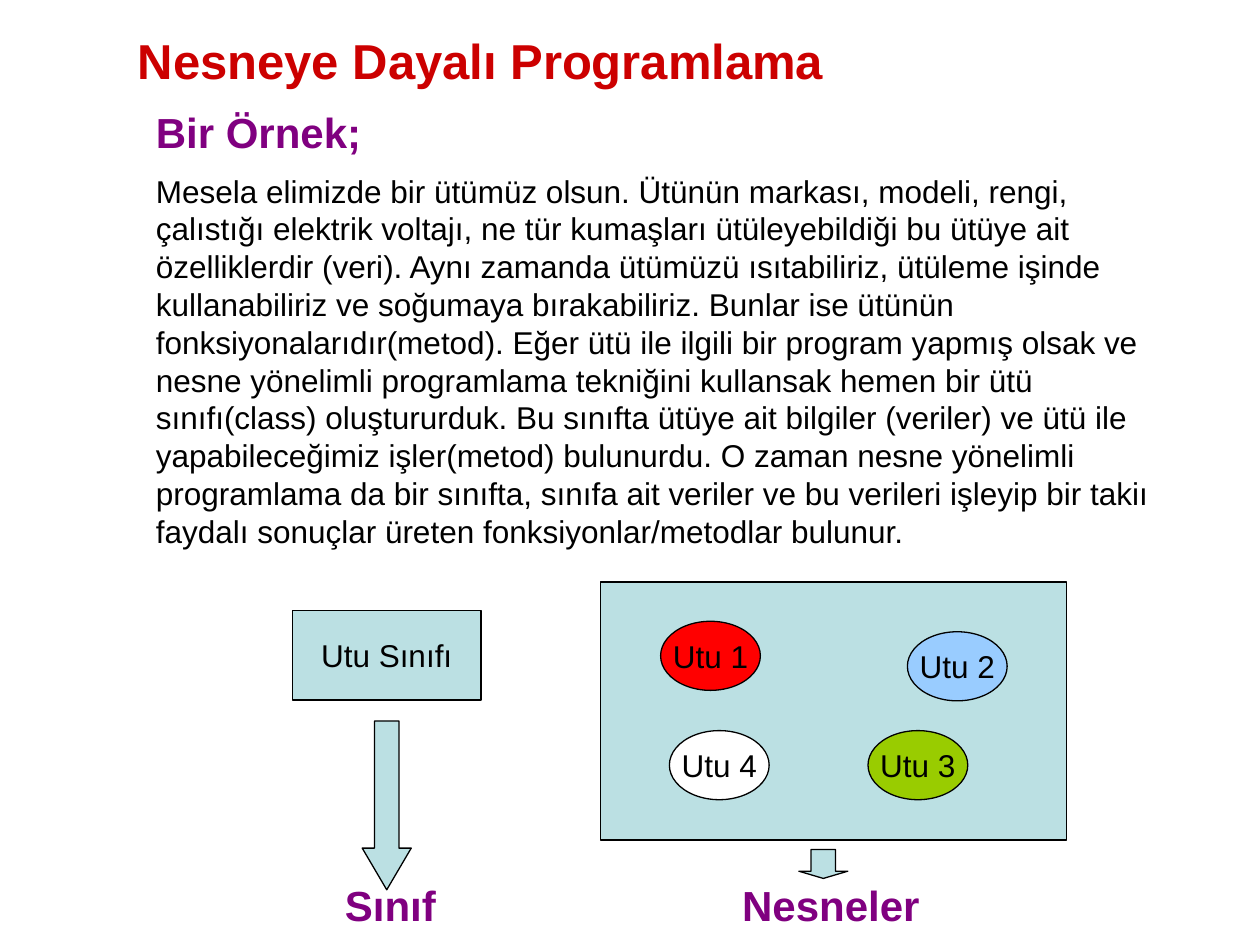
from pptx import Presentation
from pptx.dml.color import RGBColor
from pptx.enum.shapes import MSO_SHAPE
from pptx.enum.text import MSO_ANCHOR, PP_ALIGN
from pptx.util import Pt

RECTANGLE, OVAL, DOWN_ARROW = MSO_SHAPE.RECTANGLE, MSO_SHAPE.OVAL, MSO_SHAPE.DOWN_ARROW
TOP, MIDDLE = MSO_ANCHOR.TOP, MSO_ANCHOR.MIDDLE
LEFT, CENTER = PP_ALIGN.LEFT, PP_ALIGN.CENTER

TEAL, BLACK = "BBE0E3", "000000"
TITLE = {"size": Pt(28), "bold": True, "color": "CC0000"}
HEADING = {"size": Pt(24), "bold": True, "color": "800080"}
BODY = {"size": Pt(18), "bold": False, "color": BLACK}

EXPLANATION = (
    "Mesela elimizde bir ütümüz olsun. Ütünün markası, modeli, rengi, çalıstığı "
    "elektrik voltajı, ne tür kumaşları ütüleyebildiği bu ütüye ait özelliklerdir "
    "(veri). Aynı zamanda ütümüzü ısıtabiliriz, ütüleme işinde kullanabiliriz ve "
    "soğumaya bırakabiliriz. Bunlar ise ütünün fonksiyonalarıdır(metod). Eğer ütü ile "
    "ilgili bir program yapmış olsak ve nesne yönelimli programlama tekniğini kullansak "
    "hemen bir ütü sınıfı(class) oluştururduk. Bu sınıfta ütüye ait bilgiler (veriler) "
    "ve ütü ile yapabileceğimiz işler(metod) bulunurdu. O zaman nesne yönelimli "
    "programlama da bir sınıfta, sınıfa ait veriler ve bu verileri işleyip bir takiı "
    "faydalı sonuçlar üreten fonksiyonlar/metodlar bulunur."
)
IRONS = [
    ("Utu 1", 34.5, 22.5, "FF0000"),
    ("Utu 2", 175.5, 28.5, "99CCFF"),
    ("Utu 4", 39.5, 85, "FFFFFF"),
    ("Utu 3", 153, 85, "99CC00"),
]


def color(hex_value):
    return RGBColor.from_string(hex_value)


def points(*lengths):
    return [Pt(length) for length in lengths]


def write(shape, text, style, anchor=TOP, align=LEFT, wrap=True, spacing=1.0):
    frame = shape.text_frame
    frame.word_wrap = wrap
    frame.vertical_anchor = anchor
    paragraph = frame.paragraphs[0]
    paragraph.alignment = align
    paragraph.line_spacing = spacing
    run = paragraph.add_run()
    run.text = text
    run.font.name = "Arial"
    for name, value in style.items():
        if name == "color":
            run.font.color.rgb = color(value)
        else:
            setattr(run.font, name, value)


def add_text(slide, box, text, style, **layout):
    write(slide.shapes.add_textbox(*points(*box)), text, style, **layout)


def add_figure(slide, kind, box, fill=TEAL, label=None):
    figure = slide.shapes.add_shape(kind, *points(*box))
    figure.shadow.inherit = False
    figure.fill.solid()
    figure.fill.fore_color.rgb = color(fill)
    figure.line.color.rgb = color(BLACK)
    figure.line.width = Pt(0.75)
    if label:
        write(figure, label, BODY, anchor=MIDDLE, align=CENTER, wrap=False)
    return figure


def add_arrow(slide, box, head):
    arrow = add_figure(slide, DOWN_ARROW, box)
    arrow.adjustments[0] = 0.5
    arrow.adjustments[1] = head


def add_title(slide, box):
    title = slide.shapes.title
    title.left, title.top, title.width, title.height = points(*box)
    write(title, "Nesneye Dayalı Programlama", TITLE, anchor=MIDDLE)


def add_example(slide, left, top):
    add_text(slide, (left, top, 607, 34), "Bir Örnek;", HEADING, spacing=0.9)
    add_text(slide, (left, top + 34, 595.5, 223), EXPLANATION, BODY, anchor=MIDDLE)


def add_class_diagram(slide, left, top):
    add_figure(slide, RECTANGLE, (left, top, 108, 51), label="Utu Sınıfı")
    add_arrow(slide, (left + 40, top + 63, 28, 96.5), 0.85)
    add_text(slide, (left + 23, top + 153.5, 142, 34), "Sınıf", HEADING, spacing=0.9)


def add_object_diagram(slide, left, top):
    add_figure(slide, RECTANGLE, (left, top, 266.5, 147.5))
    for label, dx, dy, fill in IRONS:
        add_figure(slide, OVAL, (left + dx, top + dy, 57, 39.5), fill, label)
    add_arrow(slide, (left + 113.5, top + 153, 28, 16.5), 0.25)
    add_text(slide, (left + 74, top + 170, 142, 34), "Nesneler", HEADING, spacing=0.9)


def main():
    deck = Presentation()
    deck.slide_width, deck.slide_height = points(720, 540)
    slide = deck.slides.add_slide(deck.slide_layouts[5])
    add_title(slide, (71.5, 8.5, 641, 51))
    add_example(slide, 82, 60.5)
    add_object_diagram(slide, 343, 332.5)
    add_class_diagram(slide, 167, 349)
    deck.save("out.pptx")


if __name__ == "__main__":
    main()
